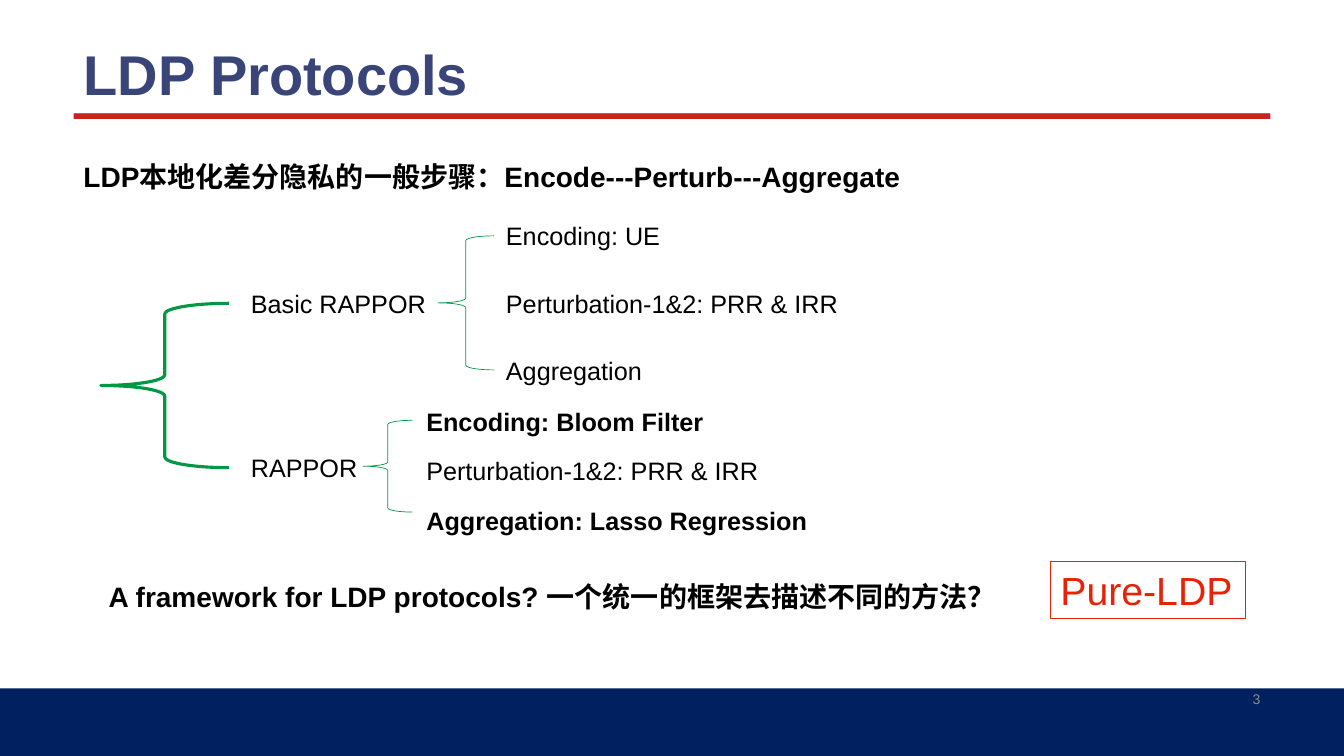
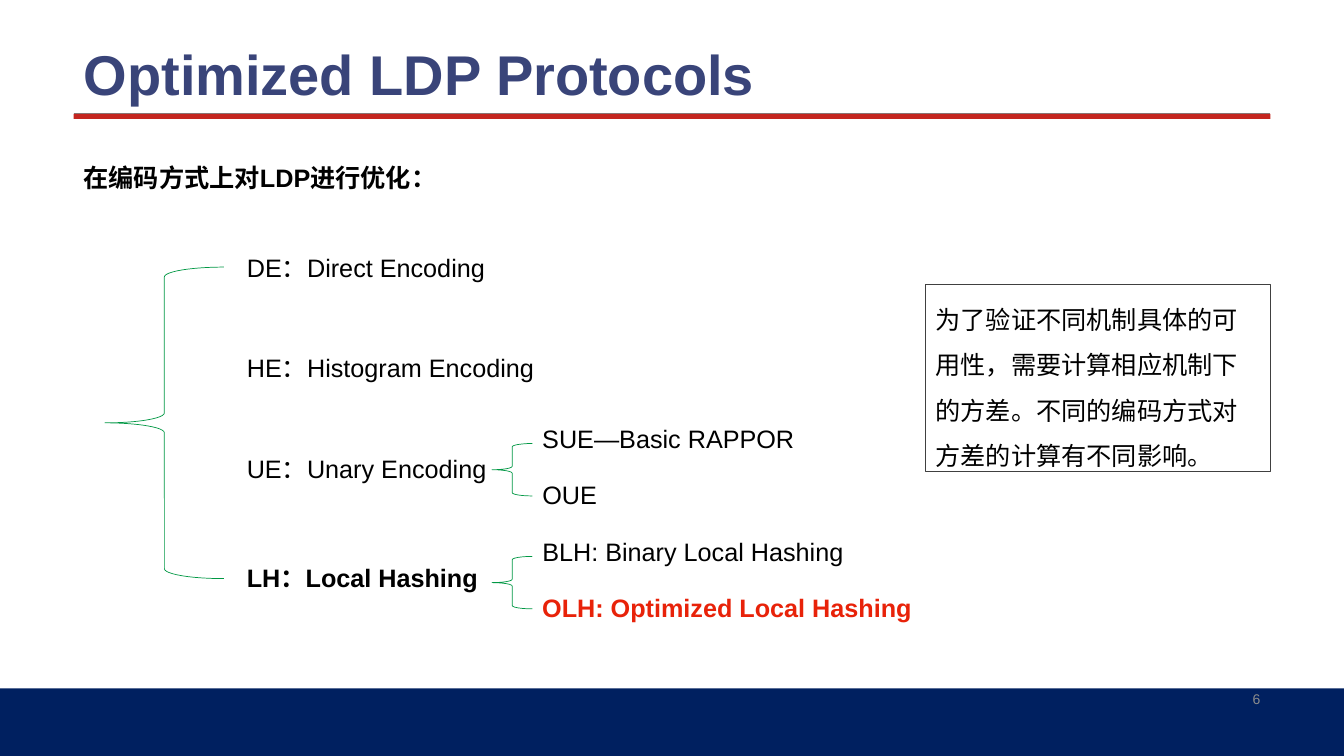
from lxml import etree
from pptx import Presentation
from pptx.dml.color import RGBColor
from pptx.enum import shapes, text
from pptx.oxml.ns import qn
from pptx.util import Inches, Pt

NAVY = RGBColor(0x00, 0x20, 0x60)
CRIMSON = RGBColor(0xC4, 0x25, 0x1F)
TITLE_BLUE = RGBColor(0x39, 0x44, 0x79)
GREEN = RGBColor(0x01, 0x98, 0x44)
RED = RGBColor(0xE8, 0x22, 0x09)
BLACK = RGBColor(0x00, 0x00, 0x00)
DARK_GRAY = RGBColor(0x40, 0x40, 0x40)
RULE_GRAY = RGBColor(0x80, 0x80, 0x80)
NUMBER_GRAY = RGBColor(0x8C, 0x8C, 0x8C)

FONT = "Arial"
MARGIN = 0.73
CONTENT_WIDTH = 11.87
LABEL_HEIGHT = 0.4


class ProtocolDeck:
    def __init__(self):
        self.deck = Presentation()
        self.deck.slide_width = Inches(13.33)
        self.deck.slide_height = Inches(7.5)
        self.layout = self.deck.slide_layouts.get_by_name("Title Only")
        self.page = None

    def new_page(self, title, number):
        self.page = self.deck.slides.add_slide(self.layout)
        if len(self.deck.slides) == 1:
            self.decorate_layout()
        self.title(title)
        self.page_number(number)

    def decorate_layout(self):
        """Draw the rule and bands, then move them to the shared layout."""
        right = MARGIN + CONTENT_WIDTH
        decorations = [
            self.rule(MARGIN, right, 1.12),
            self.band(0, 6.83, 13.33, 0.67, NAVY),
            self.band(MARGIN, 1.13, CONTENT_WIDTH, 0.05, CRIMSON),
        ]
        for shape in decorations:
            self.layout.shapes.element.append(shape.element)

    def rule(self, left, right, top):
        line = self.page.shapes.add_connector(
            shapes.MSO_CONNECTOR.STRAIGHT,
            Inches(left), Inches(top), Inches(right), Inches(top))
        line.line.color.rgb = RULE_GRAY
        line.line.width = Pt(0.25)
        etree.SubElement(line.element.spPr, qn("a:effectLst"))
        return line

    def preset(self, kind, left, top, width, height):
        shape = self.page.shapes.add_shape(
            kind, Inches(left), Inches(top), Inches(width), Inches(height))
        shape.shadow.inherit = False
        return shape

    def band(self, left, top, width, height, color):
        shape = self.preset(shapes.MSO_SHAPE.RECTANGLE, left, top, width, height)
        shape.fill.solid()
        shape.fill.fore_color.rgb = color
        shape.line.fill.background()
        return shape

    def brace(self, left, top, width, height, weight=0.5):
        shape = self.preset(shapes.MSO_SHAPE.LEFT_BRACE, left, top, width, height)
        shape.fill.background()
        shape.line.color.rgb = GREEN
        shape.line.width = Pt(weight)

    def style(self, para, size, color=BLACK, bold=False):
        para.font.name = FONT
        para.font.size = Pt(size)
        para.font.bold = bold
        para.font.color.rgb = color

    def title(self, words):
        box = self.page.shapes.title
        box.left, box.top = Inches(MARGIN), Inches(0)
        box.width, box.height = Inches(CONTENT_WIDTH), Inches(1.12)
        frame = box.text_frame
        frame.text = words
        frame.auto_size = text.MSO_AUTO_SIZE.NONE
        frame.vertical_anchor = text.MSO_ANCHOR.BOTTOM
        para = frame.paragraphs[0]
        para.alignment = text.PP_ALIGN.LEFT
        para.line_spacing = 0.9
        self.style(para, 40, TITLE_BLUE, bold=True)

    def label(self, words, left, top, width, height=LABEL_HEIGHT, size=18,
              color=BLACK, bold=False, wrap=False):
        box = self.page.shapes.add_textbox(
            Inches(left), Inches(top), Inches(width), Inches(height))
        frame = box.text_frame
        frame.text = words
        frame.word_wrap = wrap
        frame.auto_size = text.MSO_AUTO_SIZE.SHAPE_TO_FIT_TEXT
        self.style(frame.paragraphs[0], size, color, bold)
        return box

    def framed_label(self, words, left, top, width, height, outline, **options):
        box = self.label(words, left, top, width, height, **options)
        box.line.color.rgb = outline
        box.line.width = Pt(0.75)
        return box

    def page_number(self, number):
        box = self.label(str(number), 9.42, 6.82, 3.18, 0.23, size=10,
                         color=NUMBER_GRAY, wrap=True)
        frame = box.text_frame
        frame.auto_size = text.MSO_AUTO_SIZE.NONE
        frame.vertical_anchor = text.MSO_ANCHOR.MIDDLE
        frame.paragraphs[0].alignment = text.PP_ALIGN.RIGHT

    def column(self, left, top, step, items, **shared):
        """Stack (words, width, options) labels at equal steps."""
        for index, (words, width, options) in enumerate(items):
            self.label(words, left, top + index * step, width,
                       **{**shared, **options})


def protocols_page(deck):
    deck.new_page("LDP Protocols", 3)
    deck.label("LDP本地化差分隐私的一般步骤：Encode---Perturb---Aggregate",
               MARGIN, 1.53, 8.37, 0.44, size=20, bold=True, wrap=True)

    deck.brace(1, 3.01, 1.27, 1.63, weight=2.25)
    deck.column(2.39, 2.81, 1.63, [
        ("Basic RAPPOR", 1.96, {}),
        ("RAPPOR", 1.27, {}),
    ])

    perturbation = ("Perturbation-1&2: PRR & IRR", 3.53, {})
    deck.brace(4.34, 2.34, 0.56, 1.33)
    deck.column(4.92, 2.14, 0.67, [
        ("Encoding: UE", 1.74, {}),
        perturbation,
        ("Aggregation", 1.56, {}),
    ])
    deck.brace(3.6, 4.17, 0.49, 0.91)
    deck.column(4.13, 3.98, 0.49, [
        ("Encoding: Bloom Filter", 2.98, {"bold": True}),
        perturbation,
        ("Aggregation: Lasso Regression", 4.02, {"bold": True}),
    ])

    deck.label("A framework for LDP protocols? 一个统一的框架去描述不同的方法？",
               0.98, 5.7, 9.07, 0.44, size=20, bold=True)
    deck.framed_label("Pure-LDP", 10.42, 5.57, 1.93, 0.57, RED,
                      size=28, color=RED)


def optimized_page(deck):
    deck.new_page("Optimized LDP Protocols", 6)
    deck.label("在编码方式上对LDP进行优化：", MARGIN, 1.56, 3.72, bold=True)

    deck.brace(1.04, 2.65, 1.18, 3.09)
    deck.column(2.35, 2.45, 1, [
        ("DE：Direct Encoding", 2.59, {}),
        ("HE：Histogram Encoding", 3.08, {}),
        ("UE：Unary Encoding", 2.6, {}),
    ], wrap=True)
    deck.label("LH：Local Hashing", 2.35, 5.53, 2.52, bold=True, wrap=True)

    for top in (4.4, 5.52):
        deck.brace(4.88, top, 0.4, 0.52)
    deck.column(5.28, 4.15, 0.56, [
        ("SUE—Basic RAPPOR", 2.73, {}),
        ("OUE", 0.75, {}),
        ("BLH: Binary Local Hashing", 3.22, {}),
        ("OLH: Optimized Local Hashing", 3.9, {"color": RED, "bold": True}),
    ])

    remark = deck.framed_label(
        "为了验证不同机制具体的可用性，需要计算相应机制下的方差。"
        "不同的编码方式对方差的计算有不同影响。",
        9.18, 2.82, 3.42, 1.86, DARK_GRAY, wrap=True)
    remark.text_frame.paragraphs[0].line_spacing = 1.5


def main():
    deck = ProtocolDeck()
    protocols_page(deck)
    optimized_page(deck)
    deck.deck.save("out.pptx")


if __name__ == "__main__":
    main()
